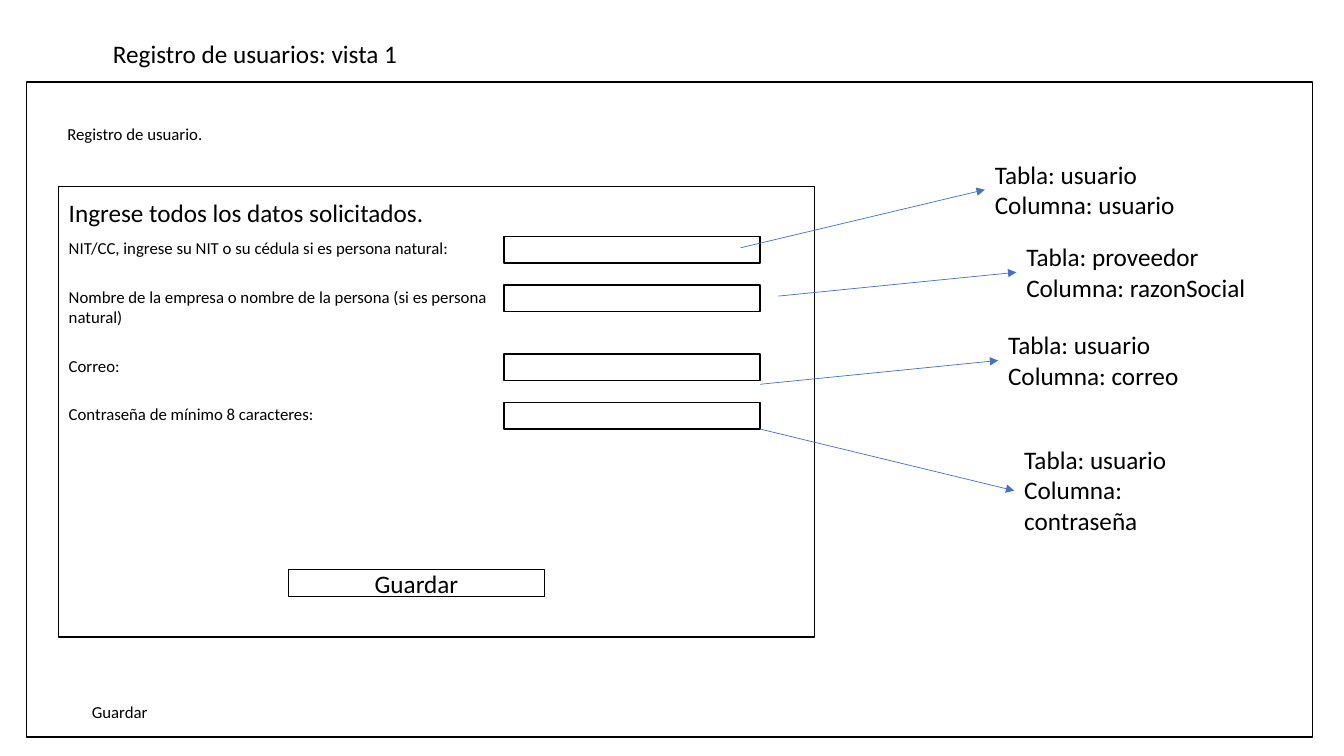
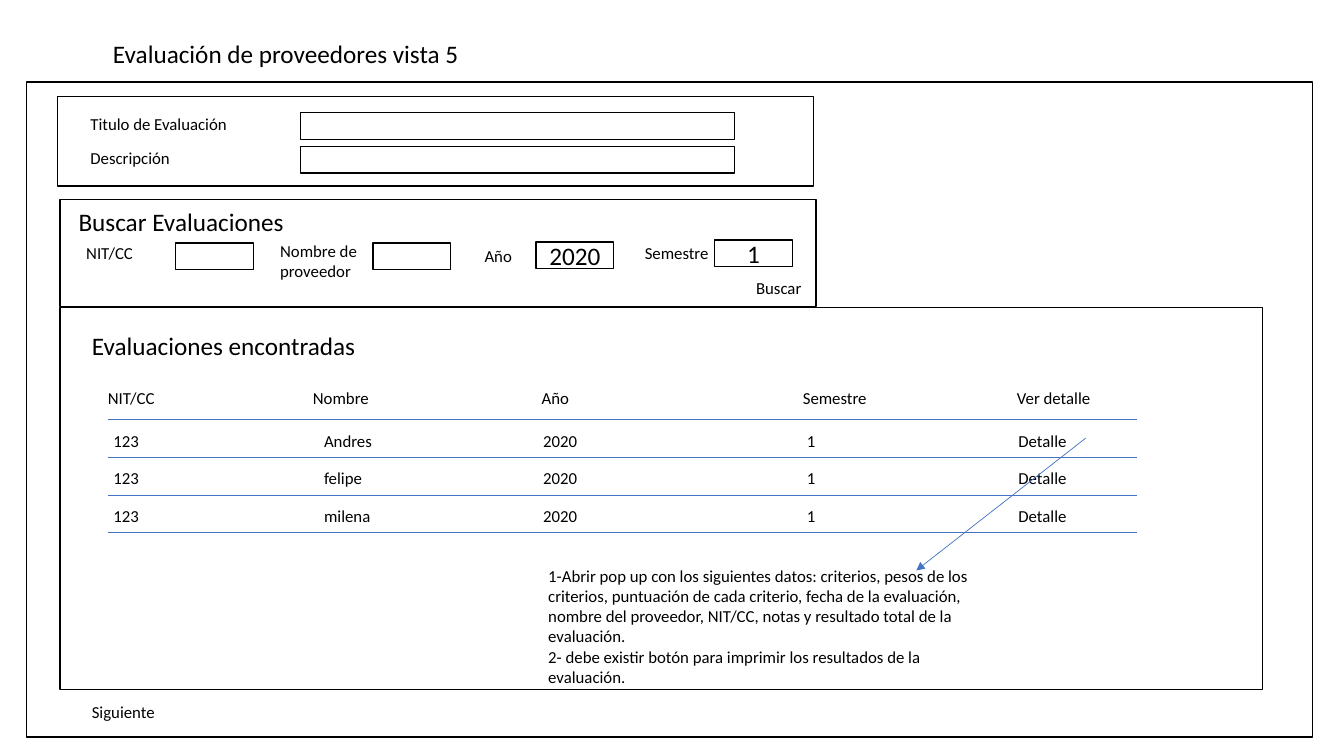
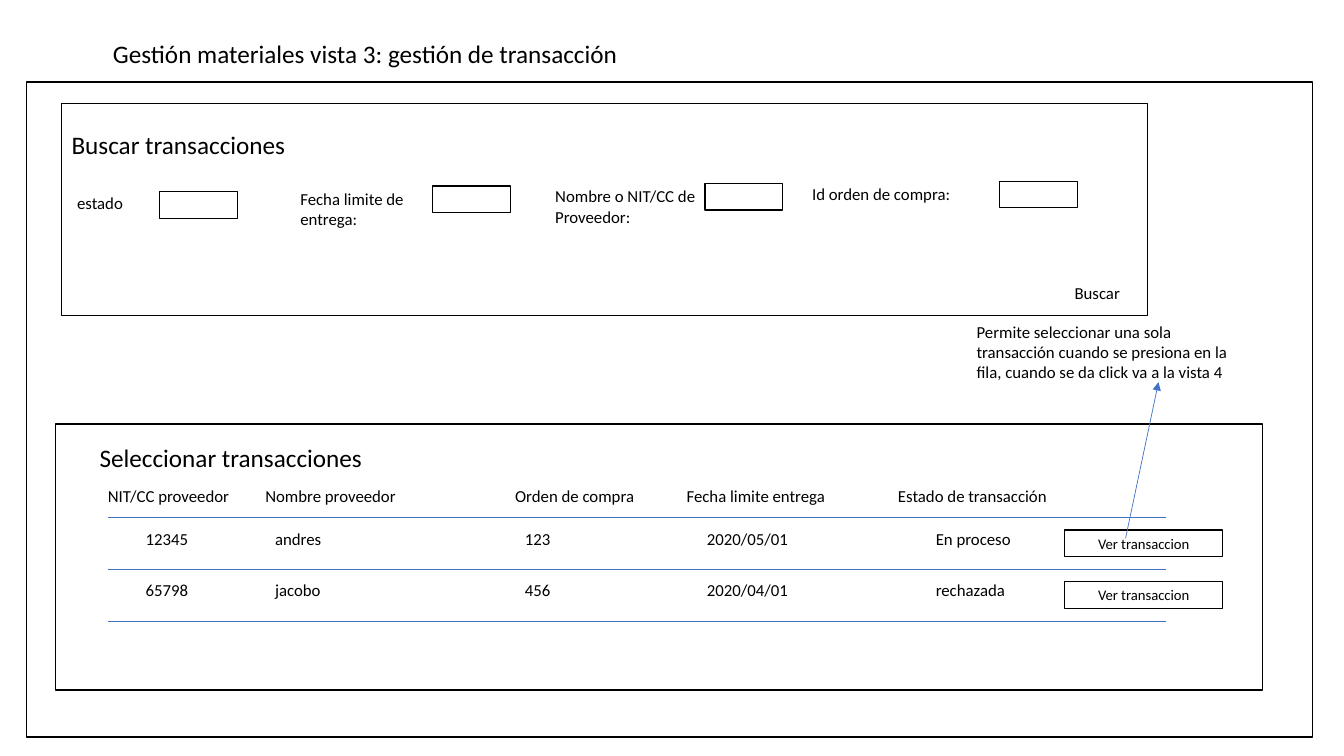
import pptx
import pptx.util
import pptx.dml.color
import pptx.enum.shapes
import pptx.enum.text
import pptx.oxml
import pptx.oxml.ns
import lxml.etree

Pt = pptx.util.Pt
FONT = "Calibri"
BLACK = "000000"
BLUE = "4472C4"
PLAIN = "{2D5ABB26-0587-4C30-8999-92F81FD0307C}"
NS = 'xmlns:a="http://schemas.openxmlformats.org/drawingml/2006/main"'
SMALL, BIG = 12, 18
BAR = 19


def color(code):
    return pptx.dml.color.RGBColor.from_string(code)


def style(frame, words, size, align="LEFT", anchor="TOP"):
    frame.word_wrap = True
    frame.auto_size = pptx.enum.text.MSO_AUTO_SIZE.NONE
    frame.vertical_anchor = getattr(pptx.enum.text.MSO_ANCHOR, anchor)
    frame.text = words
    for para in frame.paragraphs:
        para.alignment = getattr(pptx.enum.text.PP_ALIGN, align)
        para.font.name = FONT
        para.font.size = Pt(size)
        para.font.color.rgb = color(BLACK)


def text(slide, x, y, w, h, words, size=SMALL):
    box = slide.shapes.add_textbox(Pt(x), Pt(y), Pt(w), Pt(h))
    style(box.text_frame, words, size)
    return box


def rect(slide, x, y, w, h, words="", size=BIG):
    kind = pptx.enum.shapes.MSO_SHAPE.RECTANGLE
    box = slide.shapes.add_shape(kind, Pt(x), Pt(y), Pt(w), Pt(h))
    box.shadow.inherit = False
    box.fill.background()
    box.line.color.rgb = color(BLACK)
    box.line.width = Pt(1)
    if words:
        style(box.text_frame, words, size, "CENTER", "MIDDLE")
    return box


def arrow(slide, x1, y1, x2, y2):
    kind = pptx.enum.shapes.MSO_CONNECTOR.STRAIGHT
    line = slide.shapes.add_connector(kind, Pt(x1), Pt(y1), Pt(x2), Pt(y2))
    line.line.color.rgb = color(BLUE)
    line.line.width = Pt(0.5)
    tip = pptx.oxml.parse_xml(f'<a:tailEnd {NS} type="triangle"/>')
    line.line._get_or_add_ln().append(tip)
    lxml.etree.SubElement(line._element.spPr, pptx.oxml.ns.qn("a:effectLst"))
    return line


def rule(cell):
    edge = pptx.oxml.parse_xml(
        f'<a:lnB {NS} w="6350"><a:solidFill><a:srgbClr val="{BLUE}"/>'
        '</a:solidFill></a:lnB>')
    cell._tc.get_or_add_tcPr().insert(0, edge)


def grid(slide, x, y, step, wides, shifts, rows):
    head = 27
    tall = head + step * (len(rows) - 1)
    frame = slide.shapes.add_table(
        len(rows), len(wides), Pt(x), Pt(y), Pt(sum(wides)), Pt(tall))
    table = frame.table
    table.first_row = table.horz_banding = False
    table._tbl.tblPr.find(pptx.oxml.ns.qn("a:tableStyleId")).text = PLAIN
    for col, wide in zip(table.columns, wides):
        col.width = Pt(wide)
    for r, row in enumerate(rows):
        table.rows[r].height = Pt(step if r else head)
        for c, words in enumerate(row):
            cell = table.cell(r, c)
            cell.margin_left = Pt(shifts[c] if r else 0)
            cell.margin_top = Pt(8.5 if r else 5)
            cell.margin_right = cell.margin_bottom = 0
            cell.fill.background()
            style_cell(cell, words)
            rule(cell)


def style_cell(cell, words):
    cell.text = words
    font = cell.text_frame.paragraphs[0].font
    font.name = FONT
    font.size = Pt(SMALL)
    font.color.rgb = color(BLACK)


def page(deck, words, foot=""):
    slide = deck.slides.add_slide(deck.slide_layouts[5])
    title = slide.shapes.title
    title.left, title.top = Pt(73.5), Pt(24)
    title.width, title.height = Pt(482), Pt(29)
    style(title.text_frame, words, BIG)
    rect(slide, 19, 58.5, 918.5, 468)
    if foot:
        text(slide, 58.5, 498, 100, 22, foot)
    return slide


def panel(slide, box, words, dx, dy):
    x, y, w, h = box
    rect(slide, x, y, w, h)
    text(slide, x + dx, y + dy, min(w, 300), 29, words, BIG)


def form(slide, box):
    x, y, w, h = box
    panel(slide, box, "Ingrese todos los datos solicitados.", 0, 4.5)
    fields = [
        (33.5, 22, "NIT/CC, ingrese su NIT o su cédula si es persona natural:"),
        (68, 36, "Nombre de la empresa o nombre de la persona "
                 "(si es persona natural)"),
        (117.5, 22, "Correo:"),
        (152, 22, "Contraseña de mínimo 8 caracteres:")]
    for dy, tall, words in fields:
        text(slide, x, y + dy, 328, tall, words)
        rect(slide, x + 318, y + dy + 2.5, 183, BAR)
    rect(slide, x + 164, y + 274, 183, BAR, "Guardar")


def label(slide, box, start, words):
    note = text(slide, *box, words, BIG)
    x, y, w, h = box
    line = arrow(slide, *start, x, y + h / 2)
    line.end_connect(note, 1)


def intro(slide, box):
    x, y, w, h = box
    rect(slide, *box)
    for i, words in enumerate(["Titulo de Evaluación", "Descripción"]):
        top = y + 9 + 24 * i
        text(slide, x + 16.5, top, 134, 22, words)
        rect(slide, x + 173.5, top + 2.5, 310, BAR)


def search(slide, box, head, fields, find):
    x, y, w, h = box
    panel(slide, box, *head)
    for words, dx, dy, wide, left, top, value in fields:
        text(slide, x + dx, y + dy, wide, 36, words)
        rect(slide, x + left, y + top, 55.5, BAR, value)
    text(slide, x + find[0], y + find[1], 100, 22, "Buscar")


def found(slide, box):
    x, y, w, h = box
    panel(slide, box, "Evaluaciones encontradas", 15.5, 13)
    rows = [["NIT/CC", "Nombre", "Año", "Semestre", "Ver detalle"]]
    for name in ["Andres", "felipe", "milena"]:
        rows.append(["123", name, "2020", "1", "Detalle"])
    grid(slide, x + 34, y + 53, 27, [146.5, 163.5, 186.5, 153, 85.5],
         [4, 8, 1, 3, 1], rows)
    text(slide, x + 341.5, y + 181, 336, 94,
         "1-Abrir pop up con los siguientes datos: criterios, pesos de los "
         "criterios, puntuación de cada criterio, fecha de la evaluación, "
         "nombre del proveedor, NIT/CC, notas y resultado total de la "
         "evaluación.\n"
         "2- debe existir botón para imprimir los resultados de la evaluación.")
    arrow(slide, x + 732.5, y + 93.5, x + 611.5, y + 188)


def select(slide, box):
    x, y, w, h = box
    panel(slide, box, "Seleccionar transacciones", 24.5, 9.5)
    rows = [
        ["NIT/CC proveedor", "Nombre proveedor", "Orden de compra",
         "Fecha limite entrega", "Estado de transacción"],
        ["12345", "andres", "123", "2020/05/01", "En proceso"],
        ["65798", "jacobo", "456", "2020/04/01", "rechazada"]]
    step = 37
    grid(slide, x + 37.5, y + 39.5, step, [112.5, 178.5, 122.5, 151, 191.5],
         [27, 7, 7, 14.5, 27], rows)
    for i in range(len(rows) - 1):
        rect(slide, x + 721, y + 75.5 + step * i, 113, BAR,
             "Ver transaccion", 10.5)
    text(slide, x + 651, y - 77, 212, 51,
         "Permite seleccionar una sola transacción cuando se presiona en la "
         "fila, cuando se da click va a la vista 4")
    arrow(slide, x + 764.5, y + 81.5, x + 788, y - 30)


def main():
    deck = pptx.Presentation()
    deck.slide_width, deck.slide_height = Pt(960), Pt(540)

    users = page(deck, "Registro de usuarios: vista 1", "Guardar")
    text(users, 41, 85, 134, 22, "Registro de usuario.")
    form(users, (42, 133, 540, 322))
    label(users, (703.5, 110, 146, 51), (529, 177),
          "Tabla: usuario\nColumna: usuario")
    label(users, (726, 169, 174, 51), (556, 211.5),
          "Tabla: proveedor\nColumna: razonSocial")
    label(users, (713, 232, 138, 51), (543, 274.5),
          "Tabla: usuario\nColumna: correo")
    label(users, (724.5, 314, 138, 73), (543, 306.5),
          "Tabla: usuario\nColumna: contraseña")

    review = page(deck, "Evaluación de proveedores vista 5", "Siguiente")
    intro(review, (41, 69, 540, 64))
    search(review, (43, 142.5, 540, 76.5), ("Buscar Evaluaciones", 6, 1.5), [
        ("NIT/CC", 11.5, 27.5, 100, 82.5, 31, ""),
        ("Nombre de proveedor", 150, 26, 100, 223.5, 31, ""),
        ("Año", 296, 29.5, 40, 340, 30.5, "2020"),
        ("Semestre", 410.5, 27.5, 66, 467.5, 29, "1")], (490, 52.5))
    found(review, (43, 219.5, 859, 273))

    deals = page(deck, "Gestión materiales vista 3: gestión de transacción")
    search(deals, (44, 74, 775.5, 151.5), ("Buscar transacciones", 0, 14.5), [
        ("estado", 4, 60, 100, 70, 63, ""),
        ("Fecha limite de entrega:", 163.5, 57, 119, 265, 59, ""),
        ("Nombre o NIT/CC de Proveedor:", 345.5, 55.5, 119, 459.5, 57, ""),
        ("Id orden de compra:", 529, 54, 119, 670, 55.5, "")], (716.5, 124.5))
    select(deals, (39.5, 303, 862.5, 190))

    deck.save("out.pptx")


if __name__ == "__main__":
    main()
